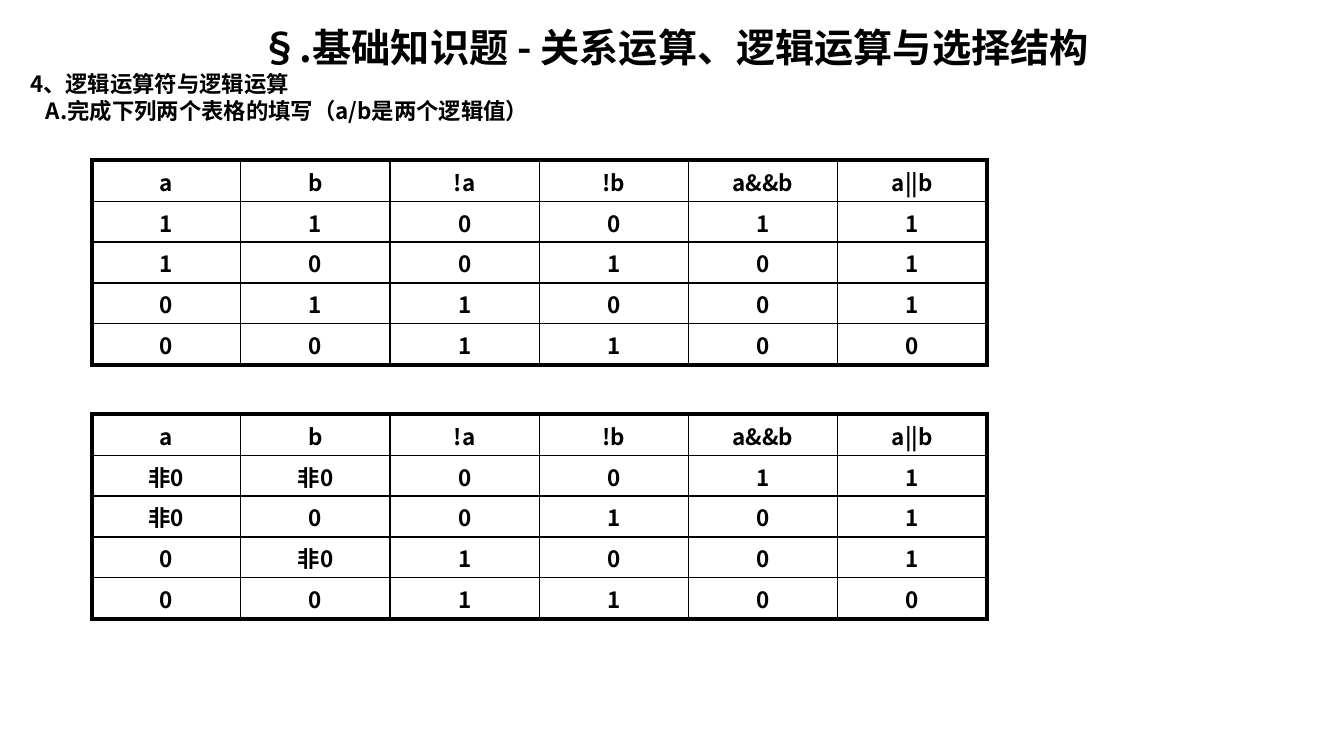
"""Build a slide with two truth tables for the logical operators."""
from dataclasses import dataclass

from lxml.etree import SubElement
from pptx import Presentation
from pptx.dml.color import RGBColor
from pptx.enum.text import MSO_ANCHOR, PP_ALIGN
from pptx.oxml.ns import qn
from pptx.slide import Slide
from pptx.table import _Cell
from pptx.util import Cm, Pt

BLACK = RGBColor(0, 0, 0)
WHITE = RGBColor(255, 255, 255)
FONT = "Noto Sans CJK SC"
THIN, THICK = Pt(1), Pt(3)
TABLE_LEFT, COLUMN_WIDTH, ROW_HEIGHT = Cm(2.31), Cm(3.76), Cm(1.03)
HEADER = ("a", "b", "!a", "!b", "a&&b", "a||b")


@dataclass(frozen=True)
class Line:
    text: str
    size: int = 16
    align: PP_ALIGN = PP_ALIGN.LEFT
    indent: Cm = Cm(0)


@dataclass(frozen=True)
class TruthTable:
    top: Cm
    true_label: str


LINES = (
    Line("§.基础知识题 - 关系运算、逻辑运算与选择结构", 28, PP_ALIGN.CENTER),
    Line("4、逻辑运算符与逻辑运算"),
    Line("A.完成下列两个表格的填写（a/b是两个逻辑值）", indent=Cm(0.4)),
)
TABLES = (TruthTable(Cm(4.04), "1"), TruthTable(Cm(10.44), "非0"))


def write_line(para, line: Line) -> None:
    para.alignment = line.align
    para.space_before = Pt(0)
    para._p.get_or_add_pPr().set("marL", str(line.indent))
    span = para.add_run()
    span.text = line.text
    formats = {"name": FONT, "size": Pt(line.size), "bold": True}
    for name, value in formats.items():
        setattr(span.font, name, value)
    span.font.color.rgb = BLACK
    SubElement(span._r.get_or_add_rPr(), qn("a:ea"), typeface=FONT)


def add_heading(page: Slide) -> None:
    box = page.shapes.add_textbox(Cm(0.51), Cm(0.46), Cm(32.99), Cm(18.01))
    frame = box.text_frame
    frame.word_wrap = True
    for index, line in enumerate(LINES):
        write_line(frame.add_paragraph() if index else frame.paragraphs[0], line)


def draw_borders(cell: _Cell, outer_sides: dict[str, bool]) -> None:
    properties = cell._tc.get_or_add_tcPr()
    for side, is_outer in outer_sides.items():
        width = THICK if is_outer else THIN
        border = SubElement(properties, qn(f"a:ln{side}"), w=str(width))
        fill = SubElement(border, qn("a:solidFill"))
        SubElement(fill, qn("a:srgbClr"), val=str(BLACK))


def truth_rows(true_label: str) -> list[tuple[str, ...]]:
    rows = [HEADER]
    for a in (1, 0):
        for b in (1, 0):
            operands = (true_label if value else "0" for value in (a, b))
            results = (1 - a, 1 - b, a & b, a | b)
            rows.append((*operands, *map(str, results)))
    return rows


def add_truth_table(page: Slide, spec_table: TruthTable) -> None:
    rows = truth_rows(spec_table.true_label)
    last_row, last_column = len(rows) - 1, len(HEADER) - 1
    table = page.shapes.add_table(
        len(rows), len(HEADER), TABLE_LEFT, spec_table.top,
        COLUMN_WIDTH * len(HEADER), ROW_HEIGHT * len(rows),
    ).table
    table.first_row = table.horz_banding = False
    for column in table.columns:
        column.width = COLUMN_WIDTH
    for row_index, row in enumerate(rows):
        table.rows[row_index].height = ROW_HEIGHT
        for column_index, text in enumerate(row):
            cell = table.cell(row_index, column_index)
            cell.vertical_anchor = MSO_ANCHOR.MIDDLE
            draw_borders(cell, {
                "L": column_index == 0,
                "R": column_index == last_column,
                "T": row_index == 0,
                "B": row_index == last_row,
            })
            cell.fill.solid()
            cell.fill.fore_color.rgb = WHITE
            write_line(cell.text_frame.paragraphs[0], Line(text, align=PP_ALIGN.CENTER))


def main() -> None:
    deck = Presentation()
    deck.slide_width, deck.slide_height = Cm(33.87), Cm(19.05)
    page = deck.slides.add_slide(deck.slide_layouts[6])
    add_heading(page)
    for truth_table in TABLES:
        add_truth_table(page, truth_table)
    deck.save("out.pptx")


main()
